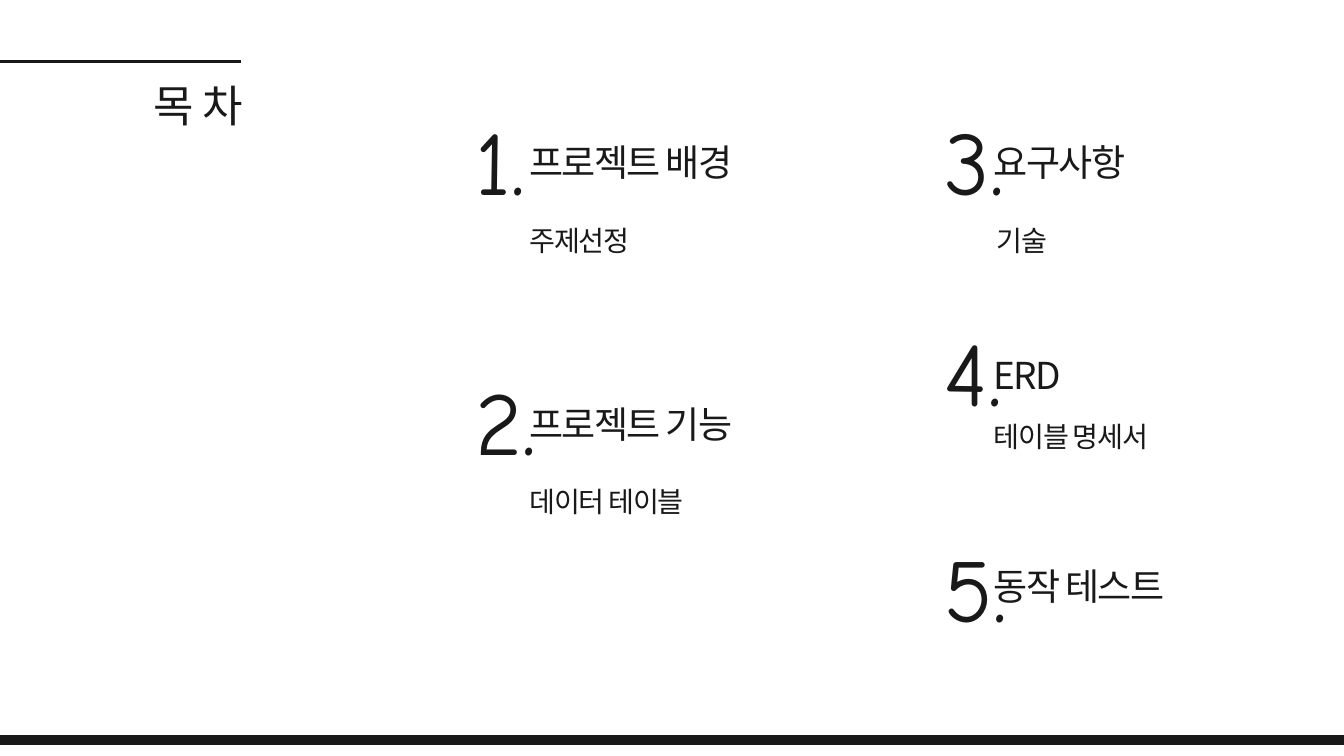
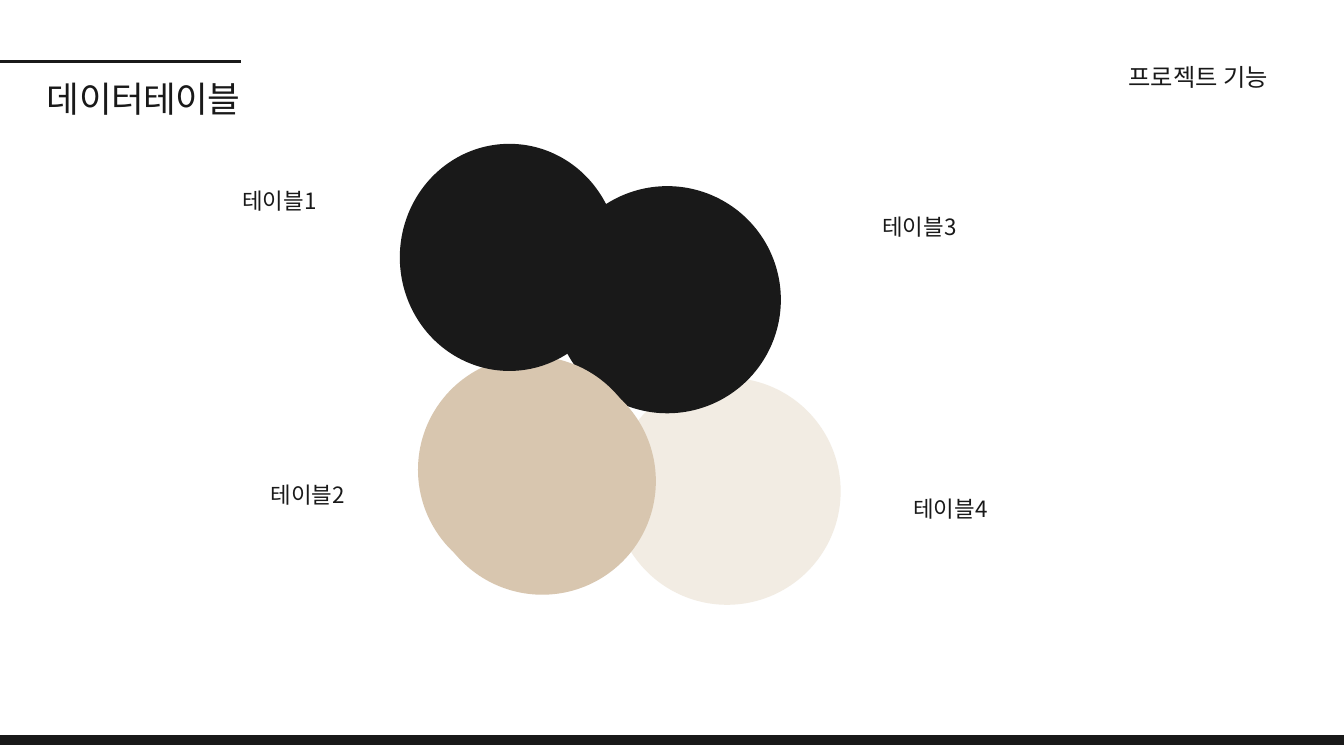
from lxml import etree
from pptx import Presentation
from pptx.dml.color import RGBColor
from pptx.enum.shapes import MSO_CONNECTOR, MSO_SHAPE
from pptx.enum.text import MSO_ANCHOR, MSO_AUTO_SIZE, PP_ALIGN
from pptx.oxml.ns import qn
from pptx.util import Inches, Pt

LEFT, RIGHT = PP_ALIGN.LEFT, PP_ALIGN.RIGHT
TOP = MSO_ANCHOR.TOP
FIXED = MSO_AUTO_SIZE.NONE
OVAL, RECT = MSO_SHAPE.OVAL, MSO_SHAPE.RECTANGLE
STRAIGHT = MSO_CONNECTOR.STRAIGHT

WIDE, HIGH = 20, 11.25
INK, SAND, CREAM = "191919", "D8C6AF", "F2ECE3"
HANGUL, DIGIT = "Noto Sans CJK KR", "Comic Neue"
BLEED = 0.32
EDGE = 3.58


def color(code):
    return RGBColor.from_string(code)


def write(shape, box, text, size, lead, face=HANGUL, align=LEFT, track=0):
    shape.left, shape.top, shape.width, shape.height = [Inches(v) for v in box]
    frame = shape.text_frame
    frame.word_wrap = True
    frame.auto_size = FIXED
    frame.vertical_anchor = TOP
    frame.margin_left = frame.margin_right = 0
    frame.margin_top = frame.margin_bottom = 0
    para = frame.paragraphs[0]
    para.alignment = align
    para.line_spacing = Pt(lead)
    run = para.add_run()
    run.text = text
    font = run.font
    font.size = Pt(size)
    font.color.rgb = color(INK)
    font.name = face
    props = run._r.get_or_add_rPr()
    etree.SubElement(props, qn("a:ea")).set("typeface", face)
    if track:
        props.set("spc", str(round(track * 100)))


deck = Presentation()
deck.slide_width, deck.slide_height = Inches(WIDE), Inches(HIGH)

titles = [
    ("목 차", (1.23, 1.04, 2.39, 0.87), 47.1, 65.9, -0.7),
    ("데이터테이블", (0.5, 1.04, EDGE - 0.5, 0.72), 38.1, 53.3, -0.5),
]
slides = []
for text, box, size, lead, track in titles:
    slide = deck.slides.add_slide(deck.slide_layouts[5])
    write(slide.shapes.title, box, text, size, lead, align=RIGHT, track=track)

    band = slide.shapes.add_shape(
        RECT, Inches(-BLEED), Inches(10.95), Inches(WIDE + 2 * BLEED), Inches(0.13))
    band.shadow.inherit = False
    band.fill.solid()
    band.fill.fore_color.rgb = color(INK)
    band.line.color.rgb = color(INK)
    band.line.width = Pt(1.5)

    rule = slide.shapes.add_connector(
        STRAIGHT, 0, Inches(0.91), Inches(EDGE), Inches(0.91))
    rule.line.color.rgb = color(INK)
    rule.line.width = Pt(3)
    etree.SubElement(rule._element.spPr, qn("a:effectLst"))
    slides.append(slide)

agenda, tables = slides

columns = [
    (7.08, 7.88, 7.88, [
        (1.31, 1.97, "프로젝트 배경", 3.11, "주제선정"),
        (5.18, 5.86, "프로젝트 기능", 6.99, "데이터 테이블"),
    ]),
    (14.06, 14.79, 14.83, [
        (1.31, 1.97, "요구사항", 3.11, "기술"),
        (4.45, 5.13, "ERD", 6.03, "테이블 명세서"),
        (7.66, 8.28, "동작 테스트", None, None),
    ]),
]
count = 0
for left, start, inset, items in columns:
    for top, head, topic, below, detail in items:
        count += 1
        write(agenda.shapes.add_textbox(0, 0, 0, 0), (start, head, 3.34, 0.74),
              topic, 39.7, 55.6, track=-1.8)
        write(agenda.shapes.add_textbox(0, 0, 0, 0), (left, top, 0.97, 1.8),
              f"{count}.", 96.3, 134.8, face=DIGIT)
        if detail:
            spot = start if topic == "ERD" else inset
            write(agenda.shapes.add_textbox(0, 0, 0, 0), (spot, below, 2.64, 0.67),
                  detail, 30.2, 51.4, track=-1.4)

DISC = 3.38
discs = [
    (9.13, 5.62, DISC, CREAM),
    (8.24, 2.77, DISC, INK),
    (6.22, 5.3, DISC, SAND),
    (6.38, 5.47, DISC, SAND),
    (5.95, 2.14, 3.26, INK),
]
for left, top, width, fill in discs:
    disc = tables.shapes.add_shape(
        OVAL, Inches(left), Inches(top), Inches(width), Inches(DISC))
    disc.shadow.inherit = False
    disc.fill.solid()
    disc.fill.fore_color.rgb = color(fill)
    disc.line.fill.background()

write(tables.shapes.add_textbox(0, 0, 0, 0), (14.63, 0.85, 4.24, 0.49),
      "프로젝트 기능", 26, 36.4, align=RIGHT)

labels = [
    (0.7, 2.72, 4.01, RIGHT),
    (1.12, 7.1, 4.01, RIGHT),
    (13.13, 3.11, 4.13, LEFT),
    (13.59, 7.3, 4.13, LEFT),
]
for index, (left, top, width, align) in enumerate(labels, 1):
    write(tables.shapes.add_textbox(0, 0, 0, 0), (left, top, width, 0.44),
          f"테이블{index}", 24, 33.6, align=align)

deck.save("out.pptx")
